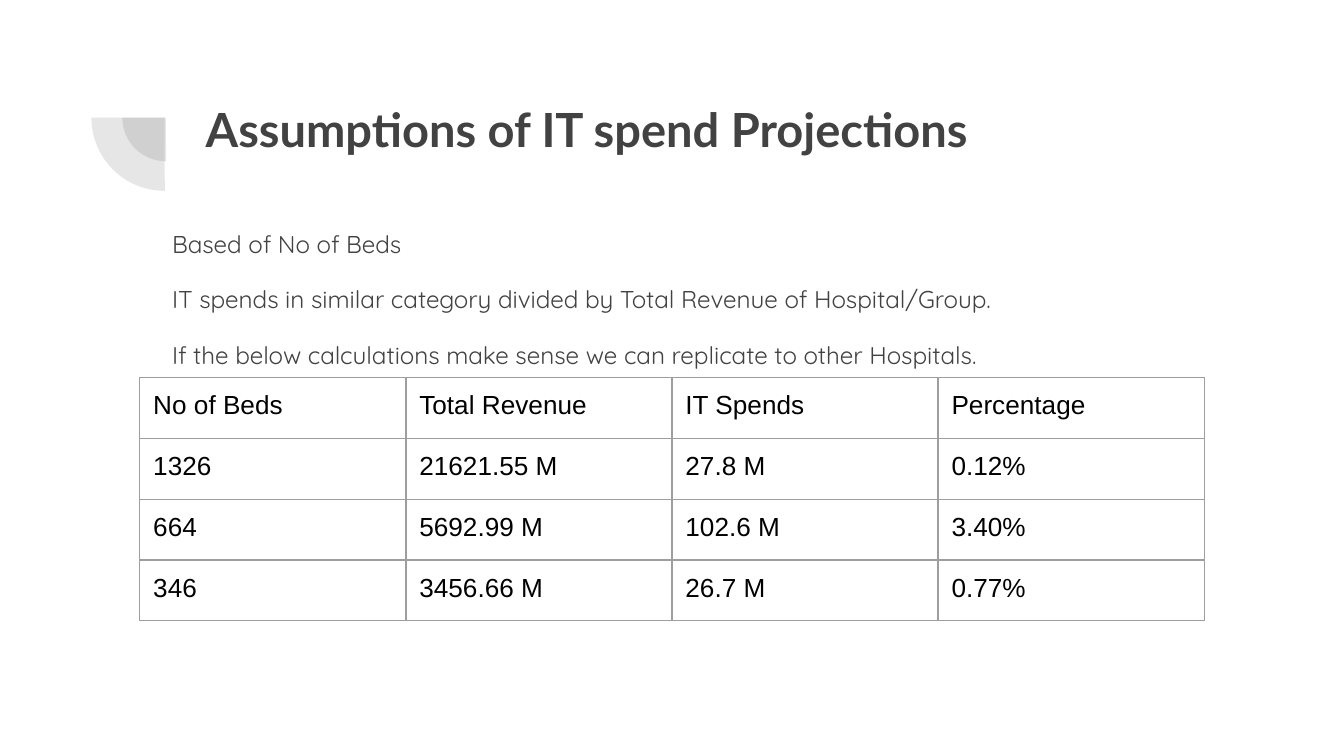
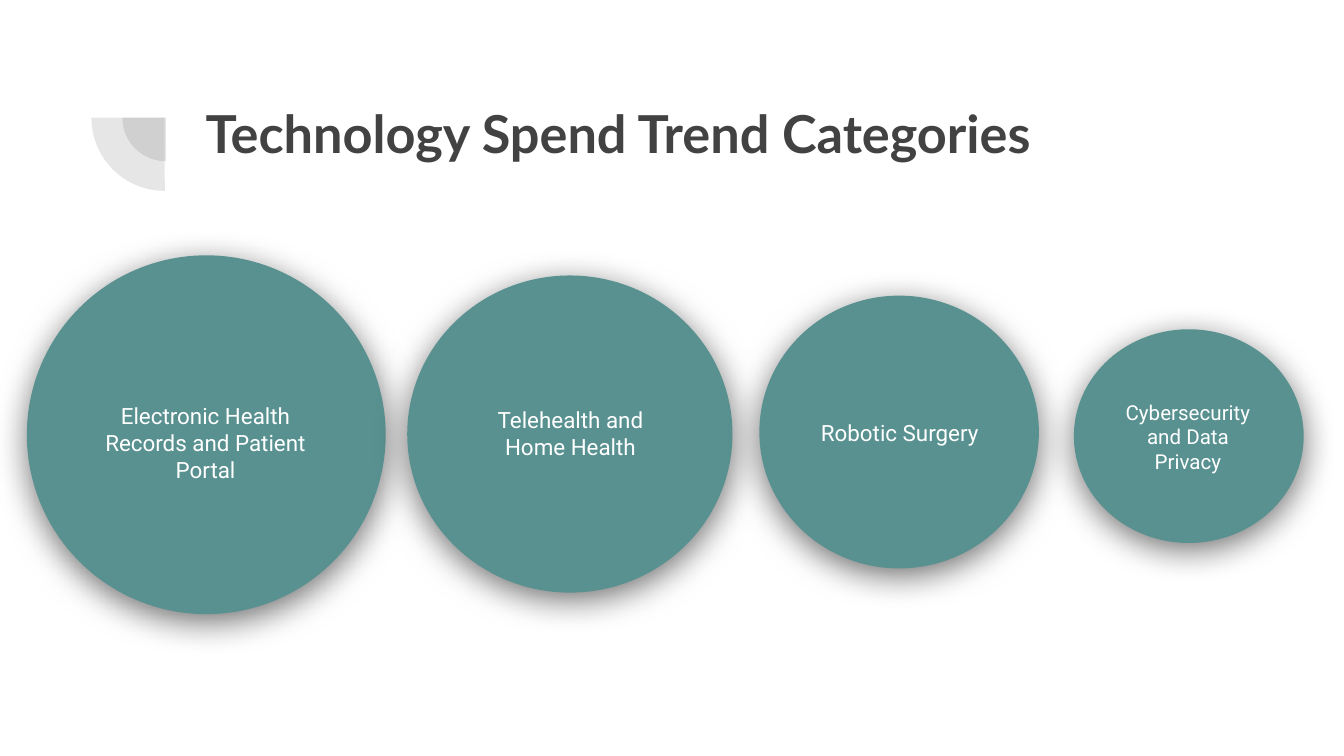
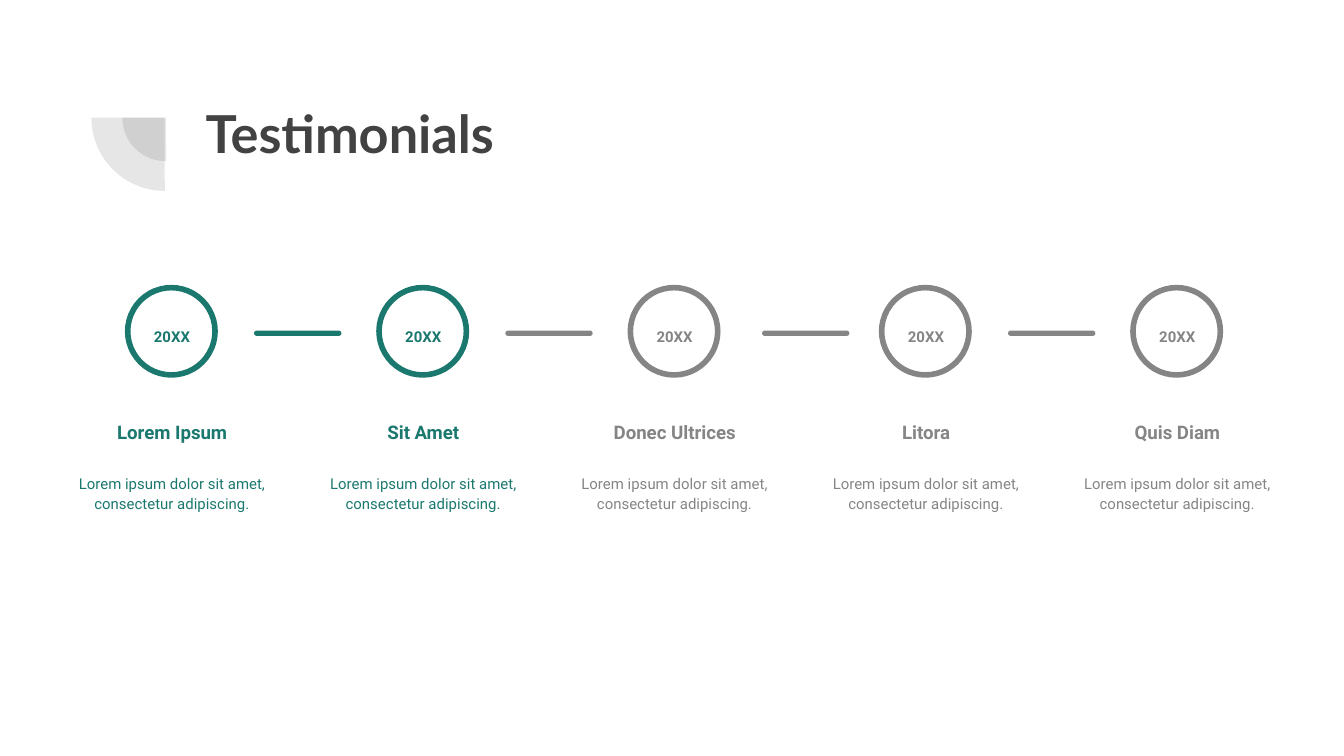
from typing import NamedTuple

from lxml import etree
from pptx import Presentation
from pptx import util as u
from pptx.dml.color import RGBColor
from pptx.enum import shapes, text
from pptx.oxml.ns import qn

PX = 9144  # 100 px to the inch
WIDTH = 1000
INK, WHITE, BLACK = "424242", "FFFFFF", "000000"
TEAL, GREEN, GRAY, RULE = "599191", "1B786E", "858585", "9E9E9E"
LEFT, MID = text.PP_ALIGN.LEFT, text.PP_ALIGN.CENTER
TOP, CENTER, BASE = text.MSO_ANCHOR.TOP, text.MSO_ANCHOR.MIDDLE, text.MSO_ANCHOR.BOTTOM
KIND = shapes.MSO_SHAPE


class Box(NamedTuple):
    left: int
    top: int
    width: int
    height: int

    def emu(self) -> list[int]:
        return [side * PX for side in self]


class Trend(NamedTuple):
    label: str
    disc: Box
    area: Box
    size: int = 12
    fill: str | None = TEAL


class Step(NamedTuple):
    name: str
    color: str


TABLE = [
    ["No of Beds", "Total Revenue", "IT Spends", "Percentage"],
    ["1326", "21621.55 M", "27.8 M", "0.12%"],
    ["664", "5692.99 M", "102.6 M", "3.40%"],
    ["346", "3456.66 M", "26.7 M", "0.77%"],
]
NOTES = [
    "Based of No of Beds",
    "IT spends in similar category divided by Total Revenue of Hospital/Group.",
    "If the below calculations make sense we can replicate to other Hospitals.",
]
TRENDS = [
    Trend("Electronic Health Records and Patient Portal",
          Box(20, 190, 267, 267), Box(51, 266, 204, 127)),
    Trend("Telehealth and Home Health",
          Box(303, 205, 242, 236), Box(342, 244, 165, 156), fill=None),
    Trend("Robotic Surgery", Box(565, 220, 208, 203), Box(595, 258, 149, 128)),
    Trend("Cybersecurity and Data Privacy",
          Box(799, 245, 171, 159), Box(826, 272, 116, 106), size=11),
]
STEPS = [
    Step("Lorem Ipsum", GREEN), Step("Sit Amet", GREEN),
    Step("Donec Ultrices", GRAY), Step("Litora", GRAY), Step("Quis Diam", GRAY),
]
BARS = [(189, GREEN), (376, GRAY), (567, GRAY), (750, GRAY)]
FIRST, PITCH = 128, 187  # centre of the first step, and the gap between centres


def rgb(color: str) -> RGBColor:
    return RGBColor.from_string(color)


def write(frame, *lines: str, font: str, size: float, color: str, bold: bool = False,
          align=LEFT, anchor=TOP, space: float = 1, before: float = 0, after: float = 0):
    """Fill a text frame, one paragraph a line."""
    frame.word_wrap = True
    frame.auto_size = text.MSO_AUTO_SIZE.NONE
    frame.vertical_anchor = anchor
    frame.margin_left = frame.margin_right = 10 * PX
    frame.margin_top = frame.margin_bottom = 10 * PX
    for i, line in enumerate(lines):
        para = frame.add_paragraph() if i else frame.paragraphs[0]
        para.alignment, para.line_spacing = align, space
        para.space_before = u.Pt(before if i else 0)
        para.space_after = u.Pt(after)
        run = para.add_run()
        run.text = line
        run.font.name, run.font.size, run.font.bold = font, u.Pt(size), bold
        run.font.color.rgb = rgb(color)


def draw(slide, kind, box: Box, fill: str | None = None, line: str | None = None):
    shape = slide.shapes.add_shape(kind, *box.emu())
    shape.shadow.inherit = False
    if fill:
        shape.fill.solid()
        shape.fill.fore_color.rgb = rgb(fill)
    else:
        shape.fill.background()
    if line:
        shape.line.color.rgb = rgb(line)
        shape.line.width = u.Pt(3)
    else:
        shape.line.fill.background()
    return shape


def label(slide, box: Box, words: str, **style):
    write(slide.shapes.add_textbox(*box.emu()).text_frame, words, **style)


def fade(node, percent: int):
    etree.SubElement(node, qn("a:alpha"), val=str(percent * 1000))


def shade(shape):
    """Give the shape a soft shadow straight below it."""
    effects = shape.element.spPr.find(qn("a:effectLst"))
    cast = etree.SubElement(effects, qn("a:outerShdw"), blurRad=str(u.Pt(18)),
                            dist=str(u.Pt(4)), dir="5400000", algn="bl", rotWithShape="0")
    fade(etree.SubElement(cast, qn("a:srgbClr"), val=BLACK), 55)


def brand(deck, slide):
    """Draw the two quarter discs, then move them to the master."""
    for i, box in enumerate([Box(91, 55, 65, 65), Box(68, 33, 109, 109)]):
        pie = draw(slide, KIND.PIE, box, INK)
        pie.rotation = 270
        pie.adjustments[0], pie.adjustments[1] = 107.93, 162
        fade(pie.element.spPr.find(".//" + qn("a:srgbClr")), 13)
        pie.element.nvSpPr.cNvPr.set("id", str(50 + i))
        deck.slide_master.shapes.element.append(pie.element)


def place(holder, box: Box):
    holder.left, holder.top, holder.width, holder.height = box.emu()


def start(deck, layout: int, title: str, size: float = 28, height: int = 109):
    slide = deck.slides.add_slide(deck.slide_layouts[layout])
    place(slide.shapes.title, Box(143, 65, 769, height))
    write(slide.shapes.title.text_frame, title, font="Lato", size=size, color=INK, bold=True)
    return slide


def border(cell):
    props = cell._tc.get_or_add_tcPr()
    for i, side in enumerate(["a:lnL", "a:lnR", "a:lnT", "a:lnB"]):
        line = etree.Element(qn(side), w=str(u.Pt(0.75)))
        fill = etree.SubElement(line, qn("a:solidFill"))
        etree.SubElement(fill, qn("a:srgbClr"), val=RULE)
        props.insert(i, line)


def spend(deck):
    slide = start(deck, 1, "Assumptions of IT spend Projections", size=25.2)
    brand(deck, slide)
    body = slide.placeholders[1]
    place(body, Box(118, 157, 769, 278))
    write(body.text_frame, *NOTES, font="Quicksand", size=13, color=INK,
          space=1.15, before=12)
    for para in body.text_frame.paragraphs:
        props = para._p.get_or_add_pPr()
        props.set("marL", "0")
        props.set("indent", "0")
        etree.SubElement(props, qn("a:buNone"))

    area = Box(104, 281, 198 * len(TABLE[0]), 181)
    grid = slide.shapes.add_table(len(TABLE), len(TABLE[0]), *area.emu()).table
    grid.first_row = grid.horz_banding = False
    for r, row in enumerate(TABLE):
        for c, words in enumerate(row):
            cell = grid.cell(r, c)
            cell.fill.background()
            border(cell)
            write(cell.text_frame, words, font="Arial", size=14, color=BLACK)
            cell.margin_left = cell.margin_right = 10 * PX
            cell.margin_top = cell.margin_bottom = 10 * PX


def trends(deck):
    slide = start(deck, 5, "Technology Spend Trend Categories")
    for trend in TRENDS:
        shade(draw(slide, KIND.OVAL, trend.disc, TEAL))
        style = dict(font="Roboto", size=trend.size, color=WHITE, align=MID, anchor=CENTER)
        if trend.fill:
            area = draw(slide, KIND.RECTANGLE, trend.area, trend.fill)
            write(area.text_frame, trend.label, **style)
        else:
            label(slide, trend.area, trend.label, **style)


def steps(deck):
    slide = start(deck, 5, "Testimonials", height=103)
    for left, color in BARS:
        bar = draw(slide, KIND.ROUNDED_RECTANGLE, Box(left, 246, 65, 4), color)
        bar.adjustments[0] = 0.5
    for i, step in enumerate(STEPS):
        mid = FIRST + i * PITCH
        style = dict(font="Roboto", color=step.color, align=MID, space=1.15)
        draw(slide, KIND.OVAL, Box(mid - 33, 214, 65, 65), line=step.color)
        label(slide, Box(mid - 24, 232, 48, 35), "20XX", size=8, bold=True, after=16, **style)
        label(slide, Box(mid - 84, 291, 168, 49), step.name, size=10, bold=True,
              anchor=BASE, **style)
        label(slide, Box(mid - 84, 341, 168, 81),
              "Lorem ipsum dolor sit amet, consectetur adipiscing.", size=8, after=16, **style)


def main():
    deck = Presentation()
    deck.slide_width, deck.slide_height = WIDTH * PX, WIDTH * PX * 9 // 16
    spend(deck)
    trends(deck)
    steps(deck)
    deck.save("out.pptx")


if __name__ == "__main__":
    main()
